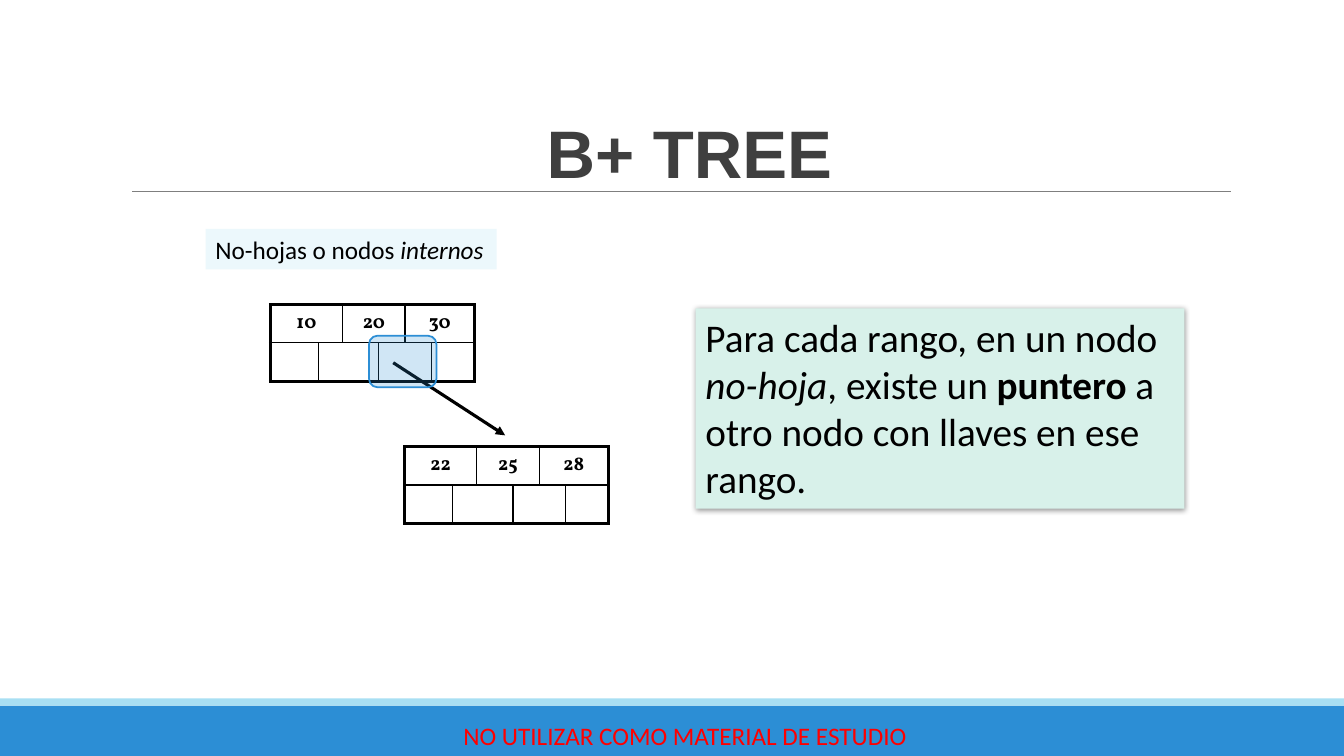
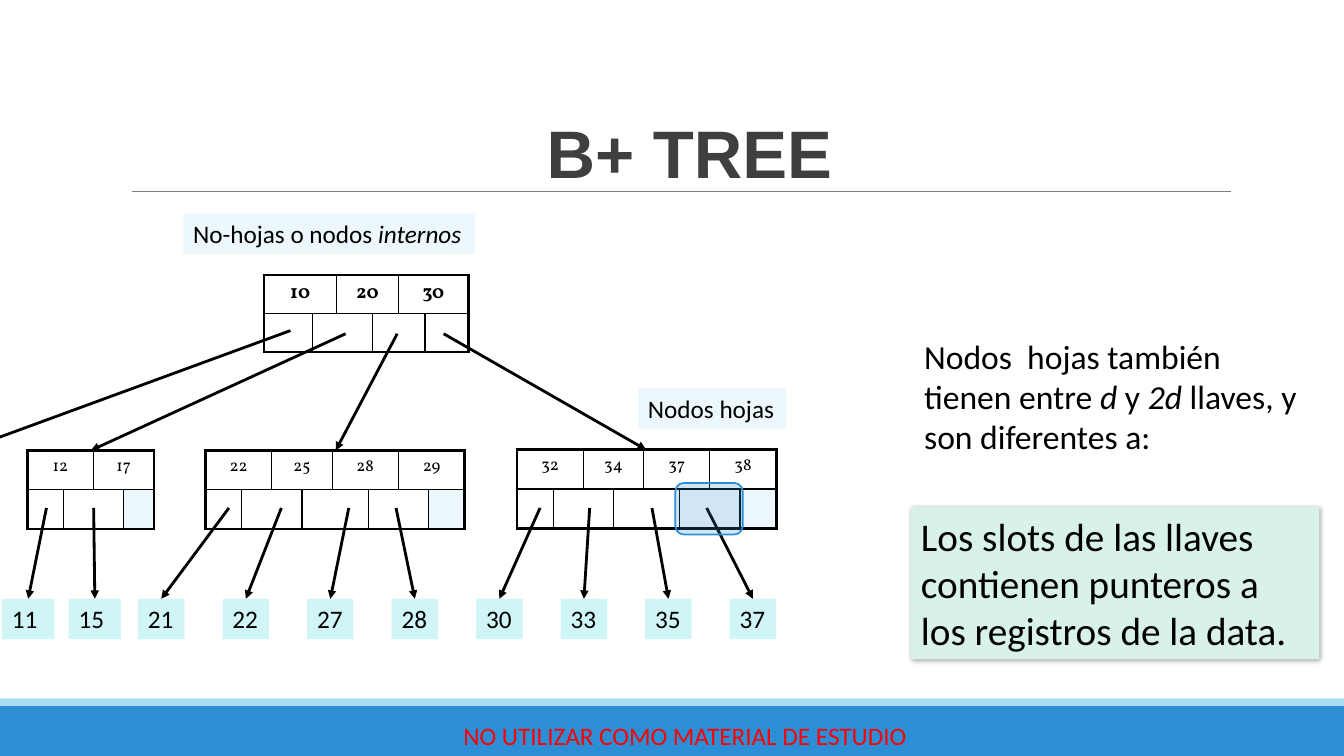
"""Build two slides about the nodes of a B+ tree."""
from lxml import etree
from pptx import Presentation
from pptx.dml.color import RGBColor
from pptx.enum import shapes, text
from pptx.oxml import parse_xml
from pptx.oxml.ns import nsdecls, qn
from pptx import util as u

BLACK = RGBColor(0x00, 0x00, 0x00)
GREY = RGBColor(0x7F, 0x7F, 0x7F)
DARK = RGBColor(0x3F, 0x3F, 0x3F)
RED = RGBColor(0xFF, 0x00, 0x00)
BLUE = RGBColor(0x2C, 0x8E, 0xD5)
SKY = RGBColor(0xA8, 0xDF, 0xF3)
PALE = RGBColor(0xEC, 0xF8, 0xFC)
AQUA = RGBColor(0xD0, 0xF5, 0xF6)
MINT = RGBColor(0xD8, 0xF1, 0xEA)
LEFT, MID = text.PP_ALIGN.LEFT, text.PP_ALIGN.CENTER
TOP = text.MSO_ANCHOR.TOP
NO_STYLE = "{2D5ABB26-0587-4C30-8999-92F81FD0307C}"


def box(slide, x, y, w, h, runs=(), size=18, fill=None, color=BLACK,
        font="Calibri", align=LEFT, anchor=TOP):
    """Add a filled block or a text box; runs are (text, style) pairs."""
    area = u.Cm(x), u.Cm(y), u.Cm(w), u.Cm(h)
    if fill is None:
        shape = slide.shapes.add_textbox(*area)
    else:
        shape = slide.shapes.add_shape(shapes.MSO_SHAPE.RECTANGLE, *area)
        shape.shadow.inherit = False
        shape.fill.solid()
        shape.fill.fore_color.rgb = fill
        shape.line.fill.background()
    frame = shape.text_frame
    frame.word_wrap = True
    frame.vertical_anchor = anchor
    para = frame.paragraphs[0]
    para.alignment = align
    for words, style in runs:
        run = para.add_run()
        run.text = words
        run.font.name = font
        run.font.size = u.Pt(size)
        run.font.color.rgb = color
        run.font.bold = "b" in style
        run.font.italic = "i" in style
    return shape


def link(slide, x1, y1, x2, y2, width=2, color=BLACK, head=True):
    """Add a straight line, with an arrowhead at its end if asked."""
    line = slide.shapes.add_connector(
        shapes.MSO_CONNECTOR.STRAIGHT, u.Cm(x1), u.Cm(y1), u.Cm(x2), u.Cm(y2))
    line.line.color.rgb = color
    line.line.width = u.Pt(width)
    if head:
        etree.SubElement(line.line._get_or_add_ln(), qn("a:tailEnd"), type="triangle")
    etree.SubElement(line.element.spPr, qn("a:effectLst"))
    return line


deck = Presentation()
deck.slide_width, deck.slide_height = u.Cm(33.87), u.Cm(19.05)
blank = deck.slide_layouts[6]
for holder in list(blank.placeholders):
    holder.element.getparent().remove(holder.element)
first, second = [deck.slides.add_slide(blank) for _ in range(2)]

shared = [
    box(first, 0, 17.78, 33.87, 1.27, fill=BLUE),
    box(first, 0, 17.6, 33.87, 0.18, fill=SKY),
    link(first, 3.33, 4.83, 31.01, 4.83, 0.75, GREY, head=False),
    box(first, 10.57, 18.03, 13.39, 1.02,
        [("NO UTILIZAR COMO MATERIAL DE ESTUDIO", "")],
        color=RED, align=MID, anchor=text.MSO_ANCHOR.MIDDLE),
]
for part in shared:
    blank.shapes.element.append(part.element)

for slide in (first, second):
    title = box(slide, 3.38, 0.51, 27.99, 4.47, [("B+ TREE", "b")], 48, color=DARK,
                font="Arial", align=MID, anchor=text.MSO_ANCHOR.BOTTOM)
    title.text_frame.paragraphs[0].line_spacing = 0.85

INNER = [1.22, 0.53, 0.91, 0.66, 0.66, 1.09]
LEAF = [0.91, 0.76, 0.76, 0.76, 0.91, 0.76, 0.76, 0.91]
nodes = [
    (first, 6.81, 7.67, INNER, (10, 20, 30)),
    (first, 10.19, 11.25, INNER, (22, 25, 28)),
    (second, 6.65, 6.93, INNER, (10, 20, 30)),
    (second, 0.69, 11.35, LEAF[:4], (12, 17)),
    (second, 5.18, 11.35, LEAF, (22, 25, 28, 29)),
    (second, 13.03, 11.33, LEAF, (32, 34, 37, 38)),
]
for slide, x, y, cols, keys in nodes:
    inner = cols is INNER
    tall = 0.97 if inner else 0.99
    last = len(cols) - 1
    frame = slide.shapes.add_table(2, len(cols), u.Cm(x), u.Cm(y),
                                   u.Cm(sum(cols)), u.Cm(2 * tall))
    grid = frame.table
    grid.first_row = grid.horz_banding = False
    frame.element.find(".//" + qn("a:tableStyleId")).text = NO_STYLE
    for col, wide in zip(grid.columns, cols):
        col.width = u.Cm(wide)
    for row in grid.rows:
        row.height = u.Cm(tall)
    tops = [(0, c, c + 1) for c in range(0, last, 2)]
    slots = [(1, 0, 0)] + [(1, c, c + 1) for c in range(1, last, 2)] + [(1, last, last)]
    for r, a, b in tops + slots:
        cell = grid.cell(r, a)
        if b > a:
            cell.merge(grid.cell(r, b))
        if r == 0:
            para = cell.text_frame.paragraphs[0]
            para.alignment = MID
            run = para.add_run()
            run.text = str(keys[a // 2])
            run.font.name = "Vollkorn"
            run.font.size = u.Pt(14 if inner else 12)
            run.font.bold = inner
            run.font.color.rgb = BLACK
        else:
            cell.margin_top = cell.margin_bottom = 0
        if r == 1 and b == last and not inner:
            cell.fill.solid()
            cell.fill.fore_color.rgb = PALE
        else:
            cell.fill.background()
        props = cell._tc.get_or_add_tcPr()
        edges = {"L": a == 0, "R": b == last, "T": r == 0, "B": r == 1}
        for spot, (side, outer) in enumerate(edges.items()):
            width = u.Pt(2.25 if outer else 1)
            props.insert(spot, parse_xml(
                f'<a:ln{side} {nsdecls("a")} w="{width}"><a:solidFill>'
                f'<a:srgbClr val="{BLACK}"/></a:solidFill></a:ln{side}>'))

link(first, 9.91, 9.14, 12.73, 10.97, 2.25)
for ends in [(7.32, 8.33, -0.46, 11.18), (8.71, 8.41, 2.29, 11.35),
             (10.01, 8.41, 8.46, 11.35), (11.18, 8.41, 16.28, 11.33)]:
    link(second, *ends)

data = [(11, 0.05, 1.32, 1.17), (15, 1.73, 1.32, 2.36)]
starts = [5.77, 7.09, 8.79, 9.98, 13.61, 14.86, 16.43, 17.81]
values = [21, 22, 27, 28, 30, 33, 35, 37]
data += [(value, 3.48 + 2.13 * i, 1.17, start)
         for i, (value, start) in enumerate(zip(values, starts))]
for value, x, wide, start in data:
    link(second, start, 12.8, x + wide / 2, 15.09)
    box(second, x, 15.09, wide, 1.02, [(str(value), "")], fill=AQUA)

for slide, x, y in [(first, 5.18, 5.77), (second, 4.62, 5.38)]:
    box(slide, x, y, 7.34, 1.02, [("No-hojas o nodos ", ""), ("internos", "i")], fill=PALE)
box(second, 16.08, 9.78, 3.73, 1.02, [("Nodos hojas", "")], fill=PALE)

for slide, x, y in [(first, 9.3, 8.46), (second, 17.02, 12.17)]:
    mark = slide.shapes.add_shape(shapes.MSO_SHAPE.ROUNDED_RECTANGLE,
                                  u.Cm(x), u.Cm(y), u.Cm(1.7), u.Cm(1.3))
    mark.shadow.inherit = False
    mark.fill.solid()
    mark.fill.fore_color.rgb = BLUE
    tint = mark.element.spPr.find(qn("a:solidFill") + "/" + qn("a:srgbClr"))
    etree.SubElement(tint, qn("a:alpha"), val="22000")
    mark.line.color.rgb = BLUE
    mark.line.width = u.Pt(1.25)

box(second, 23.04, 8.33, 9.91, 3.33,
    [("Nodos  hojas también tienen entre ", ""), ("d ", "i"), ("y ", ""),
     ("2d ", "i"), ("llaves, y son diferentes a:", "")], 24)

notes = [
    (first, 17.53, 7.77, 12.32, 5.05,
     [("Para cada rango, en un nodo ", ""), ("no-hoja", "i"), (", existe un ", ""),
      ("puntero", "b"), (" a otro nodo con llaves en ese rango.", "")]),
    (second, 22.96, 12.78, 10.29, 3.84,
     [("Los slots de las llaves contienen punteros a los registros de la data.", "")]),
]
for note in notes:
    card = box(*note, size=28, fill=MINT)
    card.element.spPr.find(qn("a:effectLst")).append(parse_xml(
        f'<a:outerShdw {nsdecls("a")} blurRad="{u.Pt(4)}" dist="{u.Pt(1)}" dir="2700000">'
        f'<a:srgbClr val="{BLACK}"><a:alpha val="40000"/></a:srgbClr></a:outerShdw>'))

deck.save("out.pptx")
